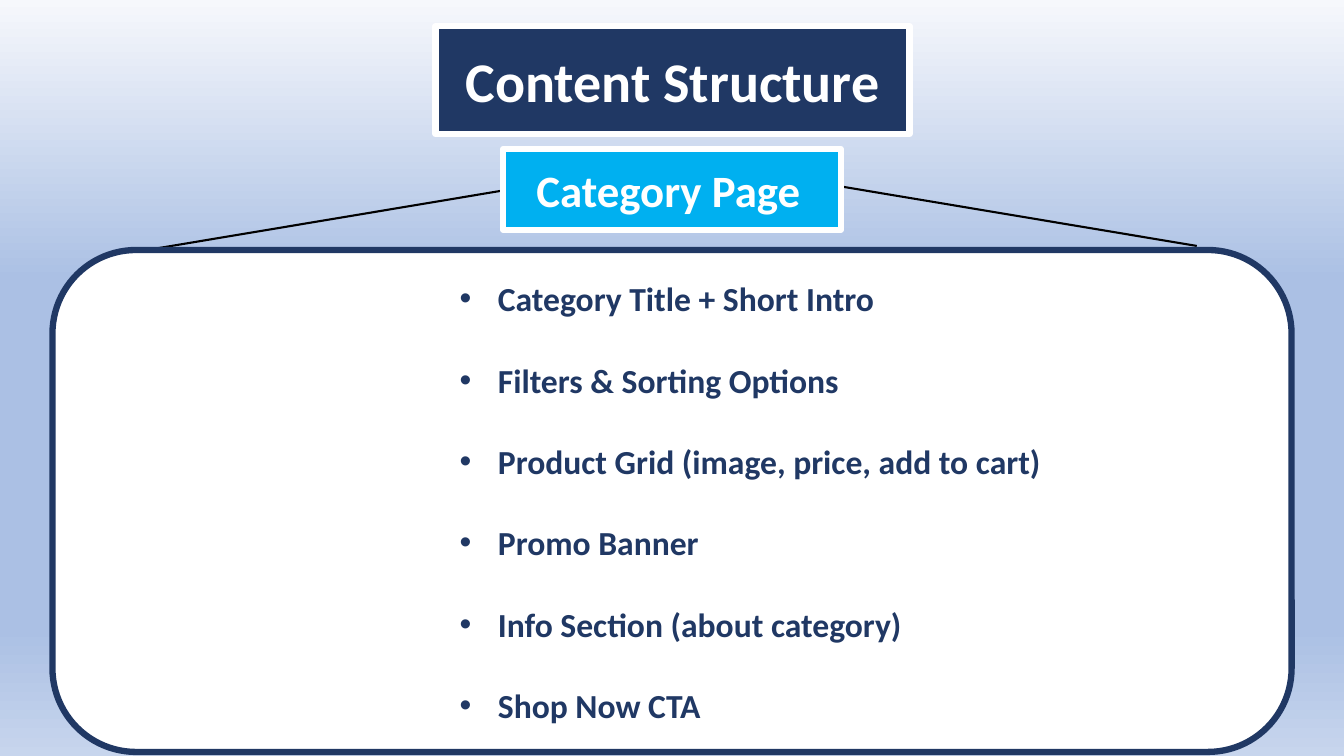
from copy import deepcopy

from lxml.etree import SubElement
from pptx import Presentation
from pptx.dml.color import RGBColor
from pptx.enum.shapes import MSO_CONNECTOR as Connector, MSO_SHAPE as Shape
from pptx.enum.text import MSO_ANCHOR as Anchor, MSO_AUTO_SIZE as AutoSize, PP_ALIGN as Align
from pptx.oxml.ns import qn
from pptx.util import Inches, Pt

NAVY = RGBColor(0x20, 0x38, 0x64)
SKY = RGBColor(0x00, 0xB0, 0xF0)
WHITE = RGBColor(0xFF, 0xFF, 0xFF)
BLACK = RGBColor(0x00, 0x00, 0x00)
MIST = RGBColor(0xF6, 0xF8, 0xFC)
BLUE = RGBColor(0xAB, 0xC0, 0xE4)
PALE = RGBColor(0xC7, 0xD5, 0xED)

WIDTH, HEIGHT = 13.33, 7.5
BACKGROUND_STOPS = [(0, MIST), (0.37, BLUE), (0.83, BLUE), (1, PALE)]
TITLE_BOX = (4.32, 0.26, 4.7, 1.07)
CATEGORY_BOX = (4.99, 1.48, 3.35, 0.8)
PANEL_BOX = (0.52, 2.48, 12.29, 4.98)
SECTIONS = [
    "Category Title + Short Intro",
    "Filters & Sorting Options",
    "Product Grid (image, price, add to cart)",
    "Promo Banner",
    "Info Section (about category)",
    "Shop Now CTA",
]


def set_attributes(target, values):
    """Set each named attribute of the target."""
    for name, value in values.items():
        setattr(target, name, value)


def write(paragraph, text, size, color):
    """Put one bold run into the paragraph."""
    run = paragraph.add_run()
    run.text = text
    set_attributes(run.font, {"name": "Calibri", "size": Pt(size), "bold": True})
    run.font.color.rgb = color


def paint(shape, fill, line):
    """Give the shape a solid fill and a thick outline."""
    shape.fill.solid()
    shape.fill.fore_color.rgb = fill
    shape.line.color.rgb = line
    shape.line.width = Pt(4.5)


def add_box(slide, kind, box, fill, line):
    """Add a painted shape without shadow."""
    shape = slide.shapes.add_shape(kind, *map(Inches, box))
    shape.shadow.inherit = False
    paint(shape, fill, line)
    return shape


def paint_background(slide):
    """Fill the slide with a vertical gradient."""
    fill = slide.background.fill
    fill.gradient()
    fill.gradient_angle = 270
    stop_list = next(slide.element.iter(qn("a:gsLst")))
    while len(stop_list) < len(BACKGROUND_STOPS):
        stop_list.append(deepcopy(stop_list[0]))
    for stop, (position, color) in zip(fill.gradient_stops, BACKGROUND_STOPS):
        stop.position = position
        stop.color.rgb = color


def place_title(slide, box):
    """Turn the title placeholder into the navy heading."""
    title = slide.shapes.title
    set_attributes(title, dict(zip(("left", "top", "width", "height"), map(Inches, box))))
    paint(title, NAVY, WHITE)
    set_attributes(title.text_frame, {"vertical_anchor": Anchor.MIDDLE, "auto_size": AutoSize.NONE})
    paragraph = title.text_frame.paragraphs[0]
    paragraph.alignment = Align.CENTER
    write(paragraph, "Content Structure", 40, WHITE)


def add_category(slide, box):
    """Add the page type label below the heading."""
    frame = add_box(slide, Shape.RECTANGLE, box, SKY, WHITE).text_frame
    set_attributes(frame, {"margin_left": Inches(0.33), "margin_right": 0,
                           "vertical_anchor": Anchor.MIDDLE})
    paragraph = frame.paragraphs[0]
    paragraph.alignment = Align.LEFT
    write(paragraph, "Category Page", 32, WHITE)


def add_branches(slide, category, panel):
    """Join both sides of the category label to the panel's top edge."""
    left, top, width, height = category
    middle, edge = top + height / 2, panel[1]
    ends = [
        (panel[0] + 0.94, edge, left, middle + 0.01),
        (left + width, middle - 0.03, panel[0] + panel[2] - 0.94, edge - 0.04),
    ]
    for points in ends:
        branch = slide.shapes.add_connector(Connector.STRAIGHT, *map(Inches, points))
        branch.line.color.rgb = BLACK
        branch.line.width = Pt(1.5)
        SubElement(branch.element.spPr, qn("a:effectLst"))


def add_panel(slide, box):
    """Add the rounded panel and its bulleted sections."""
    left, top, width, height = box
    add_box(slide, Shape.ROUNDED_RECTANGLE, box, WHITE, NAVY)
    text_box = (left + 3.94, top + 0.23, 7.29, height - 0.44)
    frame = slide.shapes.add_textbox(*map(Inches, text_box)).text_frame
    frame.word_wrap = True
    for index, section in enumerate(SECTIONS):
        paragraph = frame.add_paragraph() if index else frame.paragraphs[0]
        properties = paragraph._p.get_or_add_pPr()
        properties.set("marL", str(Inches(0.38)))
        properties.set("indent", str(-Inches(0.38)))
        if index:
            paragraph.space_before = Pt(29.3)
        SubElement(properties, qn("a:buFont"), typeface="Arial")
        SubElement(properties, qn("a:buChar"), char="•")
        write(paragraph, section, 24, NAVY)


def main():
    """Build the slide and save it."""
    presentation = Presentation()
    set_attributes(presentation, {"slide_width": Inches(WIDTH), "slide_height": Inches(HEIGHT)})
    slide = presentation.slides.add_slide(presentation.slide_layouts[5])
    paint_background(slide)
    place_title(slide, TITLE_BOX)
    add_branches(slide, CATEGORY_BOX, PANEL_BOX)
    add_panel(slide, PANEL_BOX)
    add_category(slide, CATEGORY_BOX)
    presentation.save("out.pptx")


if __name__ == "__main__":
    main()
